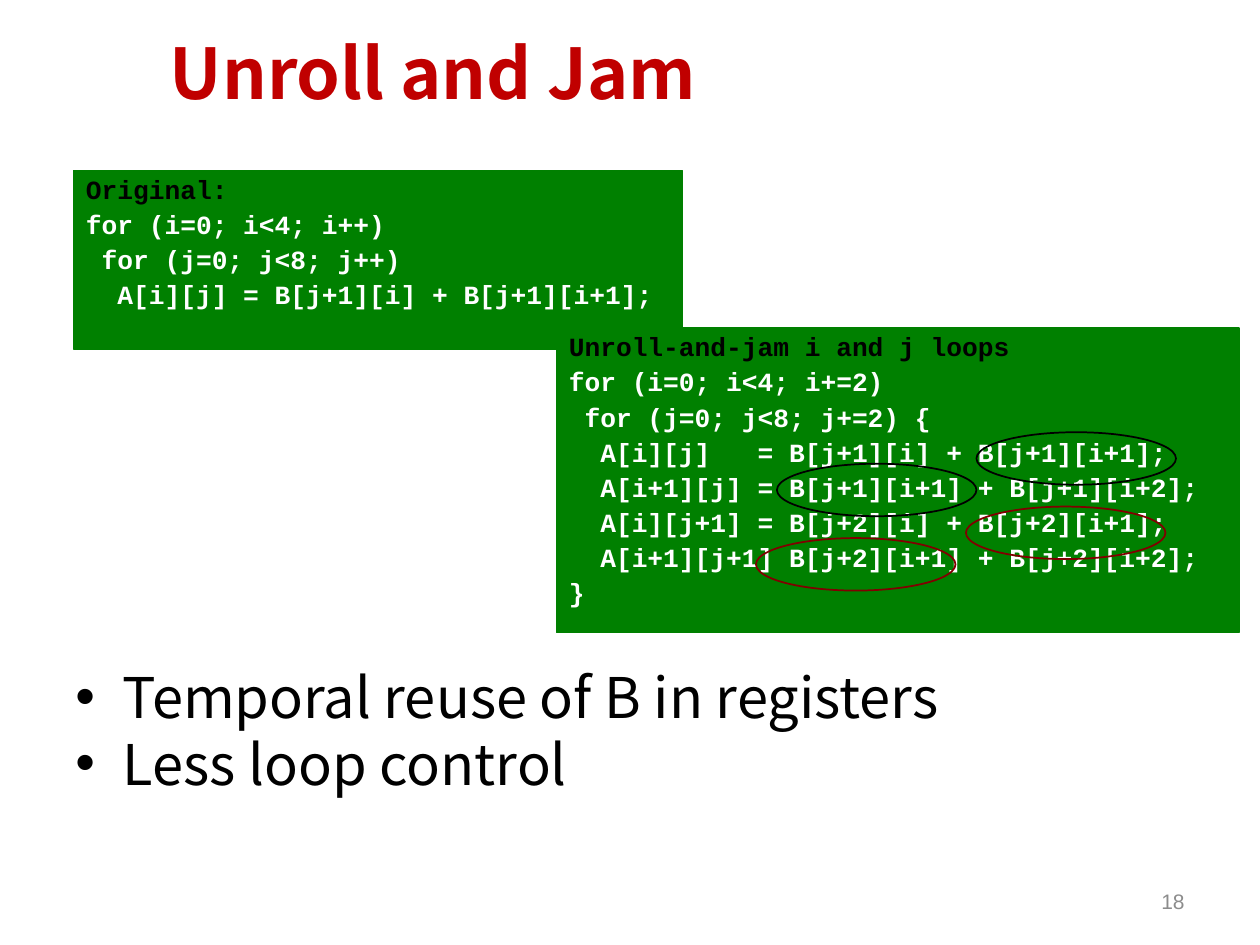
import pptx
import pptx.util
import pptx.dml.color
import pptx.enum.shapes
import pptx.enum.text
import pptx.oxml.ns
from lxml import etree

Pt = pptx.util.Pt
RGB = pptx.dml.color.RGBColor
SHAPE = pptx.enum.shapes.MSO_SHAPE
ANCHOR = pptx.enum.text.MSO_ANCHOR
ALIGN = pptx.enum.text.PP_ALIGN

RED = RGB(0xC0, 0x00, 0x00)
MAROON = RGB(0x80, 0x00, 0x00)
GREEN = RGB(0x00, 0x80, 0x00)
BLACK = RGB(0x00, 0x00, 0x00)
WHITE = RGB(0xFF, 0xFF, 0xFF)
GRAY = RGB(0x8C, 0x8C, 0x8C)

TITLE = "Unroll and Jam"
PAGE = "18"
BULLETS = ["Temporal reuse of B in registers", "Less loop control"]
# (left, top, width, height), heading, code lines
CODE_BOXES = [
    ((42, 97.5, 348, 102), "Original:", [
        "for (i=0; i<4; i++)",
        " for (j=0; j<8; j++)",
        "  A[i][j] = B[j+1][i] + B[j+1][i+1];",
    ]),
    ((318, 187.5, 390, 174), "Unroll-and-jam i and j loops", [
        "for (i=0; i<4; i+=2)",
        " for (j=0; j<8; j+=2) {",
        "  A[i][j]   = B[j+1][i] + B[j+1][i+1];",
        "  A[i+1][j] = B[j+1][i+1] + B[j+1][i+2];",
        "  A[i][j+1] = B[j+2][i] + B[j+2][i+1];",
        "  A[i+1][j+1] B[j+2][i+1] + B[j+2][i+2];",
        "}",
    ]),
]
# left, top, color: equal colors mark the same reused element
REUSE_MARKS = [(558, 247, BLACK), (444, 265, BLACK),
               (552, 289.5, MAROON), (432, 307.5, MAROON)]
MARK_SIZE = (114, 30)
INDENT = 27


def style(p, font, size, color, bold=False):
    for r in p.runs:
        r.font.name = font
        r.font.size = Pt(size)
        r.font.bold = bold
        r.font.color.rgb = color
        for tag in ("a:ea", "a:cs"):
            etree.SubElement(r.font._element, pptx.oxml.ns.qn(tag), typeface=font)


def hang(p, bullet=None):
    """Give the paragraph a hanging indent and, if asked, a bullet."""
    pPr = p._p.get_or_add_pPr()
    pPr.set("marL", str(Pt(INDENT)))
    pPr.set("indent", str(-Pt(INDENT)))
    if bullet:
        qn = pptx.oxml.ns.qn
        etree.SubElement(pPr, qn("a:buFont"), typeface="Arial")
        etree.SubElement(pPr, qn("a:buChar"), char=bullet)


def add_text(slide, box, lines, anchor=ANCHOR.TOP):
    tf = slide.shapes.add_textbox(*map(Pt, box)).text_frame
    tf.word_wrap = True
    tf.vertical_anchor = anchor
    tf.text = "\n".join(lines)
    return tf.paragraphs


def add_shape(slide, kind, box, line, width):
    sp = slide.shapes.add_shape(kind, *map(Pt, box))
    sp.shadow.inherit = False
    sp.line.color.rgb = line
    sp.line.width = Pt(width)
    return sp


def add_code(slide, box, heading, code):
    sp = add_shape(slide, SHAPE.RECTANGLE, box, GREEN, 0.75)
    sp.fill.solid()
    sp.fill.fore_color.rgb = GREEN
    tf = sp.text_frame
    tf.word_wrap = True
    tf.vertical_anchor = ANCHOR.TOP
    tf.text = "\n".join([heading] + code)
    for i, p in enumerate(tf.paragraphs):
        p.alignment = ALIGN.LEFT
        p.line_spacing = 0.9
        p.space_before = Pt(3.8)
        hang(p)
        style(p, "Courier New", 15, WHITE if i else BLACK, bold=True)


def main():
    prs = pptx.Presentation()
    prs.slide_width, prs.slide_height = Pt(720), Pt(540)
    slide = prs.slides.add_slide(prs.slide_layouts[6])

    p, = add_text(slide, (90, 0, 616, 82), [TITLE], ANCHOR.MIDDLE)
    style(p, "Noto Sans CJK KR", 40, RED, bold=True)

    p, = add_text(slide, (516, 500.5, 168, 28.75), [PAGE], ANCHOR.MIDDLE)
    p.alignment = ALIGN.RIGHT
    style(p, "Arial", 12, GRAY)

    for p in add_text(slide, (36, 382.5, 630, 67.5), BULLETS):
        p.line_spacing = 0.8
        p.space_before = Pt(7.4)
        hang(p, "•")
        style(p, "Noto Sans CJK SC", 32, BLACK)

    for box, heading, code in CODE_BOXES:
        add_code(slide, box, heading, code)

    for left, top, color in REUSE_MARKS:
        sp = add_shape(slide, SHAPE.OVAL, (left, top, *MARK_SIZE), color, 1)
        sp.fill.background()

    prs.save("out.pptx")


if __name__ == "__main__":
    main()
